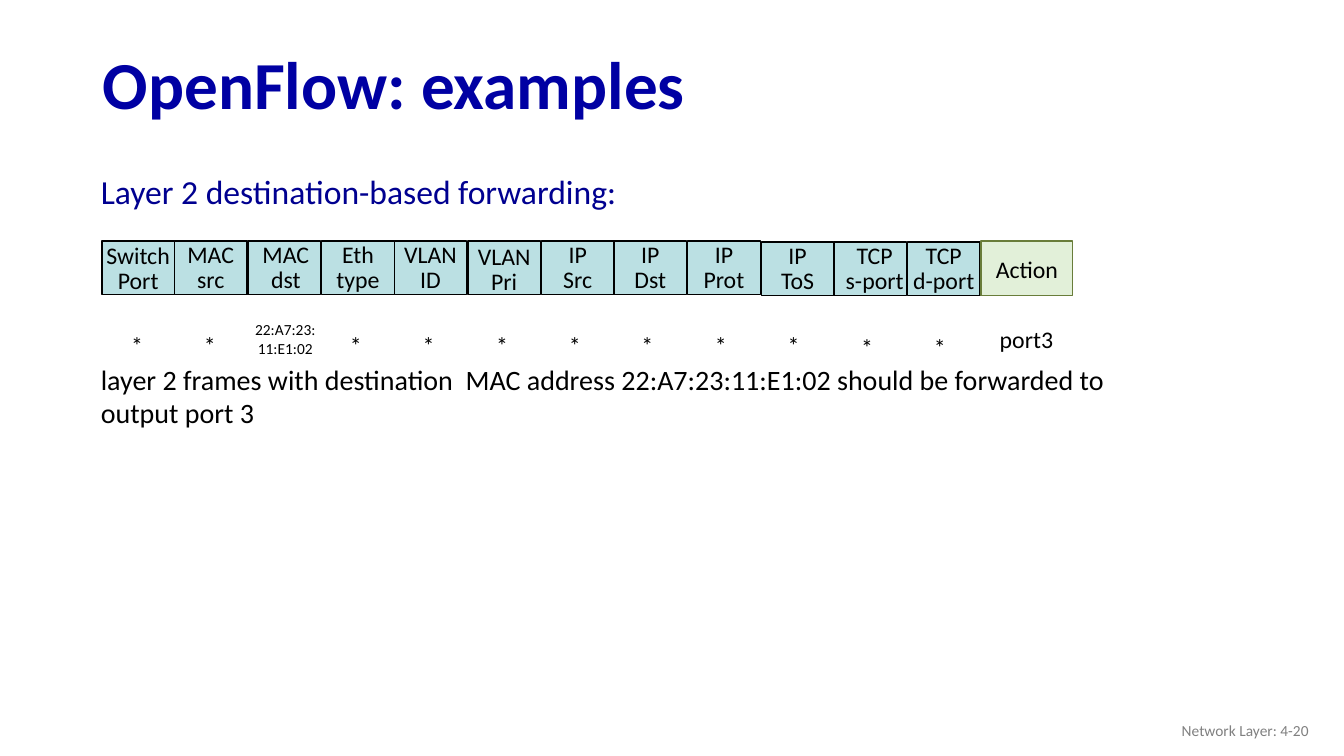
from pptx import Presentation
from pptx.dml.color import RGBColor
from pptx.enum.shapes import MSO_SHAPE as Shape
from pptx.enum.text import MSO_ANCHOR as Anchor, MSO_AUTO_SIZE as AutoSize, PP_ALIGN as Align
from pptx.util import Pt

PX = 9144
COLORS = {
    "title": "0000A3",
    "heading": "000090",
    "text": "000000",
    "footer": "808080",
    "match": "BBE0E3",
    "action": "E2F0D9",
    "action line": "697D3A",
}


def write(box, text, size, color, align=Align.LEFT, spacing=None, insets=(0, 0, 0, 0)):
    frame = box.text_frame
    frame.text = text
    frame.word_wrap = True
    frame.auto_size = AutoSize.NONE
    frame.vertical_anchor = Anchor.MIDDLE
    frame.margin_left, frame.margin_top, frame.margin_right, frame.margin_bottom = [
        inset * PX for inset in insets
    ]
    for para in frame.paragraphs:
        para.alignment = align
        para.line_spacing = spacing
        para.font.name = "Calibri"
        para.font.size = Pt(size)
        para.font.color.rgb = RGBColor.from_string(COLORS[color])


def add_text(left, top, width, height, *content, **options):
    box = page.shapes.add_textbox(left * PX, top * PX, width * PX, height * PX)
    write(box, *content, **options)


deck = Presentation()
deck.slide_width = 1333 * PX
deck.slide_height = 750 * PX
page = deck.slides.add_slide(deck.slide_layouts[5])

title = page.shapes.title
title.left, title.top, title.width, title.height = 92 * PX, 38 * PX, 1150 * PX, 98 * PX
write(title, "OpenFlow: examples", 48, "title", spacing=0.9, insets=(10, 5, 10, 5))
title.text_frame.paragraphs[0].font.bold = True

add_text(100, 170, 517, 40, "Layer 2 destination-based forwarding:", 24, "heading")
add_text(
    100, 359, 1022, 67,
    "layer 2 frames with destination  MAC address 22:A7:23:11:E1:02 "
    "should be forwarded to output port 3",
    20, "text",
)

fields = [
    "Switch\nPort", "MAC\nsrc", "MAC\ndst", "Eth\ntype", "VLAN\nID", "VLAN\nPri", "IP\nSrc",
    "IP\nDst", "IP\nProt", "IP\nToS", "TCP\ns-port", "TCP\nd-port", "Action",
]
label_insets = {
    "Switch\nPort": (0, 4, 0, 0),
    "MAC\ndst": (3, 2, 0, 0),
    "VLAN\nPri": (0, 6, 0, 0),
    "TCP\ns-port": (9, 2, 0, 0),
    "Action": (0, 6, 0, 0),
}
for column, field in enumerate(fields):
    is_action = field == "Action"
    left = 101 + column * 872 // 12
    top = 240 if 9 <= column <= 11 else 239
    width, height = (91, 54) if is_action else (72, 53)
    cell = page.shapes.add_shape(Shape.RECTANGLE, left * PX, top * PX, width * PX, height * PX)
    cell.shadow.inherit = False
    cell.fill.solid()
    cell.fill.fore_color.rgb = RGBColor.from_string(COLORS["action" if is_action else "match"])
    cell.line.color.rgb = RGBColor.from_string(COLORS["action line" if is_action else "text"])
    cell.line.width = Pt(1)
    write(cell, field, 17, "text", Align.CENTER, 0.85, label_insets.get(field, (0, 2, 0, 0)))

    if is_action:
        add_text(982, 319, 72, 35, "port3", 17, "text", Align.CENTER)
    elif field == "MAC\ndst":
        add_text(247, 319, 72, 34, "22:A7:23:\n11:E1:02", 11, "text", Align.CENTER)
    else:
        wildcard_top = 327 if field.startswith("TCP") else 325
        add_text(100 + column * 724 // 10, wildcard_top, 72, 35, "*", 17, "text", Align.CENTER)

add_text(1008, 705, 300, 40, "Network Layer: 4-20", 11, "footer", Align.RIGHT, insets=(10, 5, 10, 5))

deck.save("out.pptx")
